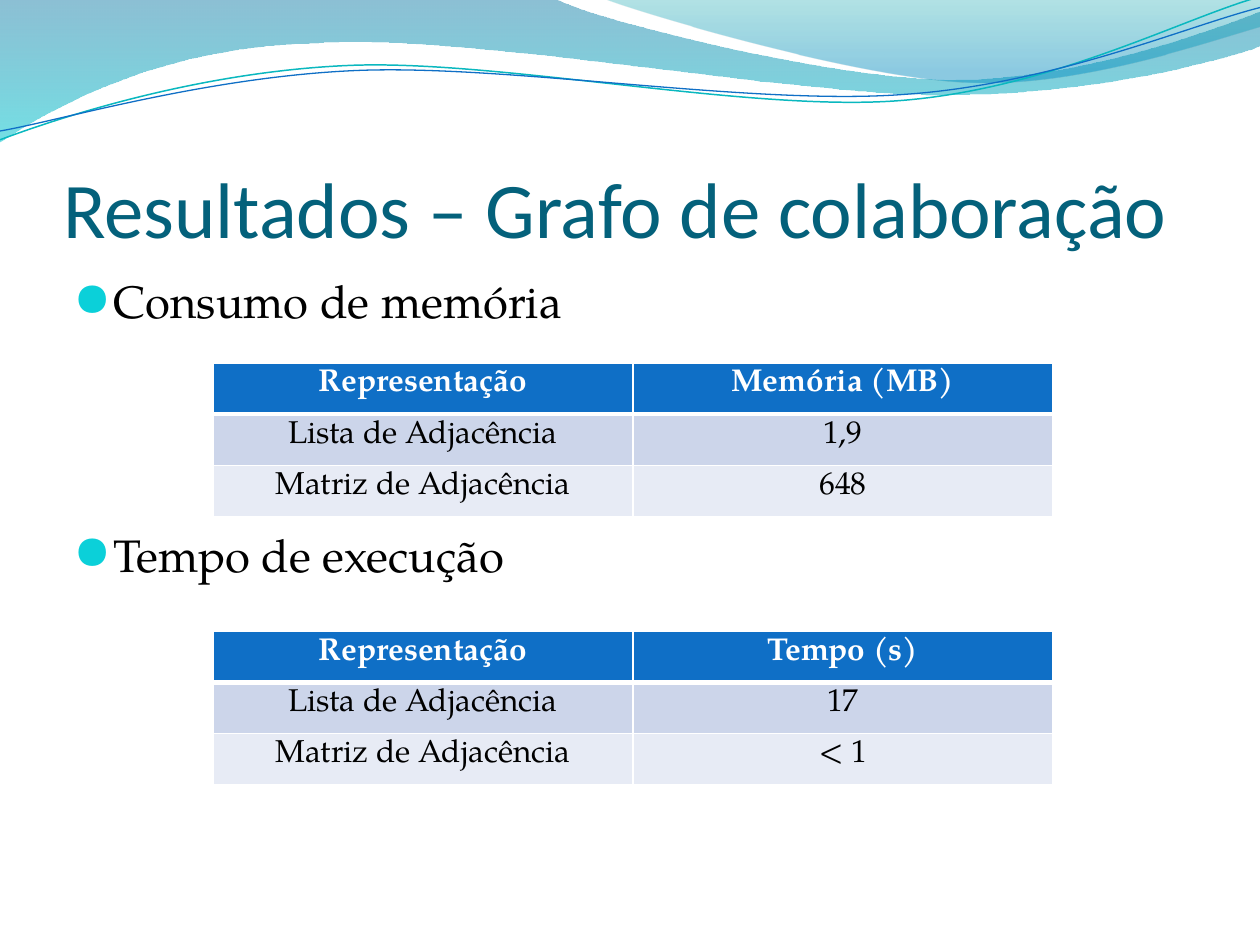
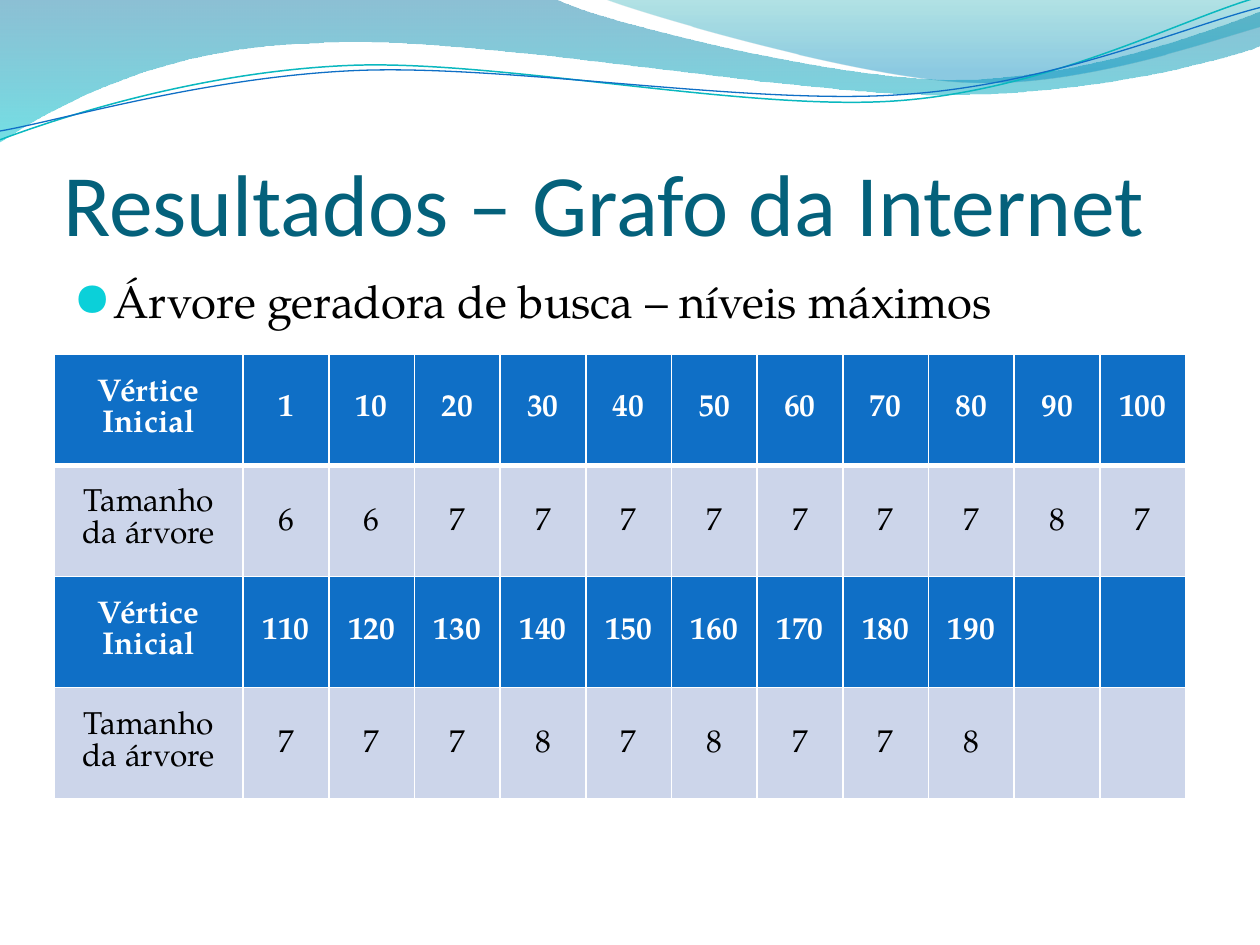
from dataclasses import dataclass

from lxml import etree
from pptx import Presentation
from pptx.dml.color import RGBColor
from pptx.enum.text import MSO_ANCHOR, MSO_AUTO_SIZE, PP_ALIGN
from pptx.oxml.ns import qn
from pptx.util import Inches, Pt

LEFT, CENTER = PP_ALIGN.LEFT, PP_ALIGN.CENTER
TOP, MIDDLE, BOTTOM = MSO_ANCHOR.TOP, MSO_ANCHOR.MIDDLE, MSO_ANCHOR.BOTTOM
NO_AUTOFIT = MSO_AUTO_SIZE.NONE


@dataclass(frozen=True)
class Theme:
    heading_font: str = "Calibri"
    body_font: str = "TeX Gyre Pagella"
    title: str = "04617B"
    text: str = "000000"
    white: str = "FFFFFF"
    header: str = "0F6FC6"
    band: str = "CCD5EA"
    light_band: str = "E7EBF5"
    bullet: str = "0BD0D9"
    teal_line: str = "0AB8BF"
    body_size: int = 26
    cell_size: int = 18
    thin: int = 1
    thick: int = 3


THEME = Theme()
WIDTH, HEIGHT = 10, 7.5
MARGIN = 0.05 * WIDTH

# Each band: start, then segments of one point (line) or three (cubic curve);
# gradient stops are position, colour and opacity in percent.
BANDS = [
    ((0, 0), [
        [(4.4, -0.01)],
        [(4.76, 0.17), (6.64, 0.63), (7.58, 0.63)],
        [(8.53, 0.63), (9.58, 0.26), (10, 0.09)],
        [(10.01, 0.36)],
        [(9.83, 0.44), (8.7, 0.76), (7.46, 0.75)],
        [(6.22, 0.75), (3.82, 0.28), (2.57, 0.34)],
        [(1.29, 0.36), (0.46, 0.83), (-0.01, 1.13)],
        [(0, 0)],
    ], [(0, "0074A1", 45), (1, "00C6CF", 55)]),
    ((4.79, -0.01), [
        [(5.09, 0.11), (6.82, 0.62), (7.69, 0.65)],
        [(8.56, 0.69), (9.61, 0.32), (10, 0.21)],
        [(10, 0)],
        [(4.79, -0.01)],
    ], [(0, "00A1A9", 30), (0.8, "008BBF", 45)]),
]
RIPPLES = [
    ((0, 1.11), [
        [(0.48, 0.93), (1.58, 0.57), (2.77, 0.52)],
        [(3.95, 0.47), (5.93, 0.89), (7.13, 0.8)],
        [(8.33, 0.71), (9.38, 0.15), (9.98, -0.02)],
    ], THEME.teal_line, 0.85),
    ((0, 1.04), [
        [(0.47, 0.96), (1.64, 0.61), (2.83, 0.56)],
        [(4.03, 0.51), (5.97, 0.84), (7.17, 0.75)],
        [(8.36, 0.67), (9.41, 0.21), (10, 0.06)],
    ], THEME.header, 0.75),
]


def rgb(color):
    return RGBColor.from_string(color)


def apply(target, values):
    for name, value in values.items():
        setattr(target, name, value)


def format_font(font, size, color, name=THEME.body_font, bold=False):
    apply(font, {"size": Pt(size), "name": name, "bold": bold})
    font.color.rgb = rgb(color)


def add_xml(parent, tag, **attributes):
    return etree.SubElement(parent, qn(tag), attributes)


def bend_segments(shape, segments):
    """Merge the straight lines of each three-point segment into one curve."""
    lines = iter(list(shape.element.iter(qn("a:lnTo"))))
    for segment in segments:
        group = [next(lines) for _ in segment]
        if len(group) == 1:
            continue
        curve = etree.Element(qn("a:cubicBezTo"))
        group[0].addprevious(curve)
        for line in group:
            curve.append(line[0])
            line.getparent().remove(line)


def draw_path(page, start, segments, close):
    builder = page.shapes.build_freeform(*map(Inches, start))
    points = [tuple(map(Inches, point)) for segment in segments for point in segment]
    builder.add_line_segments(points, close=close)
    shape = builder.convert_to_shape()
    bend_segments(shape, segments)
    shape.shadow.inherit = False
    return shape


def draw_band(page, start, segments, stops):
    band = draw_path(page, start, segments, close=True)
    band.line.fill.background()
    band.fill.gradient()
    band.fill.gradient_angle = 270
    for stop, (position, color, _) in zip(band.fill.gradient_stops, stops):
        stop.position = position
        stop.color.rgb = rgb(color)
    for color, (_, _, opacity) in zip(band.element.iter(qn("a:srgbClr")), stops):
        add_xml(color, "a:alpha", val=str(opacity * 1000))
    return band


def draw_ripple(page, start, segments, color, width):
    ripple = draw_path(page, start, segments, close=False)
    ripple.fill.background()
    ripple.line.color.rgb = rgb(color)
    ripple.line.width = Pt(width)
    return ripple


def set_up_layout(layout):
    title, body = layout.placeholders[0], layout.placeholders[1]
    for box, top, height in ((title, 0.77, 1.25), (body, 2.12, 4.8)):
        apply(box, {"left": Inches(MARGIN), "top": Inches(top),
                    "width": Inches(WIDTH - 2 * MARGIN), "height": Inches(height)})
    apply(title.text_frame, {
        "margin_left": 0, "margin_right": 0, "margin_bottom": 0,
        "margin_top": Inches(0.05), "vertical_anchor": BOTTOM})
    body.text_frame.vertical_anchor = TOP


def move_waves_to_master(page, master):
    """Draw the waves on a page, then hand them to the master as its backdrop."""
    waves = [draw_band(page, *band) for band in BANDS]
    waves += [draw_ripple(page, *ripple) for ripple in RIPPLES]
    for index, wave in enumerate(waves):
        wave.element.nvSpPr.cNvPr.set("id", str(100 + index))
        master.shapes.element.insert(2 + index, wave.element)


def write_title(page, text, size):
    frame = page.shapes.title.text_frame
    apply(frame, {"text": text, "auto_size": NO_AUTOFIT, "word_wrap": True})
    para = frame.paragraphs[0]
    para.alignment = LEFT
    format_font(para.runs[0].font, size, THEME.title, THEME.heading_font)


def write_bullets(page, items, gap=0):
    """Write the list; gap is the space in points before each later item."""
    frame = page.placeholders[1].text_frame
    apply(frame, {"text": "\n".join(items), "auto_size": NO_AUTOFIT})
    indent = Inches(0.3)
    for index, para in enumerate(frame.paragraphs):
        properties = para._p.get_or_add_pPr()
        properties.set("marL", str(indent))
        properties.set("indent", str(-indent))
        color = add_xml(properties, "a:buClr")
        add_xml(color, "a:srgbClr", val=THEME.bullet)
        add_xml(properties, "a:buSzPct", val="95000")
        add_xml(properties, "a:buFont", typeface=THEME.body_font)
        add_xml(properties, "a:buChar", char="●")
        if index:
            para.space_before = Pt(gap)
        format_font(para.runs[0].font, THEME.body_size, THEME.text)


def set_borders(cell, row):
    """White grid, with a thick rule under the first row."""
    properties = cell._tc.get_or_add_tcPr()
    thick_edge = {0: "B", 1: "T"}.get(row)
    for index, edge in enumerate("LRTB"):
        width = THEME.thick if edge == thick_edge else THEME.thin
        line = etree.Element(qn(f"a:ln{edge}"), w=str(Pt(width)))
        fill = add_xml(line, "a:solidFill")
        add_xml(fill, "a:srgbClr", val=THEME.white)
        properties.insert(index, line)


def add_grid(page, left, top, widths, height, rows, fills, anchor=TOP,
             value_spacing=None):
    """Add a table; rows filled with the header colour get header text."""
    frame = page.shapes.add_table(
        len(rows), len(widths), Inches(left), Inches(top),
        Inches(sum(widths)), Inches(height))
    table = frame.table
    apply(table, {"first_row": False, "horz_banding": False})
    for column, width in zip(table.columns, widths):
        column.width = Inches(width)
    for r, (texts, fill) in enumerate(zip(rows, fills)):
        is_header = fill == THEME.header
        for c in range(len(widths)):
            cell = table.cell(r, c)
            cell.fill.solid()
            cell.fill.fore_color.rgb = rgb(fill)
            cell.vertical_anchor = anchor
            set_borders(cell, r)
            if c >= len(texts):
                continue
            cell.text = str(texts[c])
            para = cell.text_frame.paragraphs[0]
            para.alignment = CENTER
            if value_spacing and c and not is_header:
                para.line_spacing = value_spacing
            format_font(para.runs[0].font, THEME.cell_size,
                        THEME.white if is_header else THEME.text, bold=is_header)


def add_comparison(page, top, measure, list_value, matrix_value):
    rows = [("Representação", measure),
            ("Lista de Adjacência", list_value),
            ("Matriz de Adjacência", matrix_value)]
    add_grid(page, 1.69, top, [WIDTH / 3] * 2, 1.22, rows,
             [THEME.header, THEME.band, THEME.light_band])


def build_collaboration(page):
    write_title(page, "Resultados – Grafo de colaboração", 45)
    write_bullets(page, ["Consumo de memória", "Tempo de execução"], gap=113.5)
    add_comparison(page, 2.88, "Memória (MB)", "1,9", "648")
    add_comparison(page, 5.01, "Tempo (s)", "17", "< 1")


def build_internet(page):
    write_title(page, "Resultados – Grafo da Internet", 50)
    write_bullets(page, ["Árvore geradora de busca – níveis máximos"])
    vertex, tree = "Vértice Inicial", "Tamanho da árvore"
    rows = [(vertex, 1, *range(10, 101, 10)),
            (tree, 6, 6, 7, 7, 7, 7, 7, 7, 7, 8, 7),
            (vertex, *range(110, 191, 10)),
            (tree, 7, 7, 7, 8, 7, 8, 7, 7, 8)]
    add_grid(page, 0.43, 2.81, [1.5] + [0.68] * 11, 3.53, rows,
             [THEME.header, THEME.band] * 2, MIDDLE, value_spacing=1.15)


def main():
    deck = Presentation()
    apply(deck, {"slide_width": Inches(WIDTH), "slide_height": Inches(HEIGHT)})
    layout = deck.slide_layouts[1]
    set_up_layout(layout)
    pages = [deck.slides.add_slide(layout) for _ in range(2)]
    move_waves_to_master(pages[0], deck.slide_master)
    build_collaboration(pages[0])
    build_internet(pages[1])
    deck.save("out.pptx")


if __name__ == "__main__":
    main()
